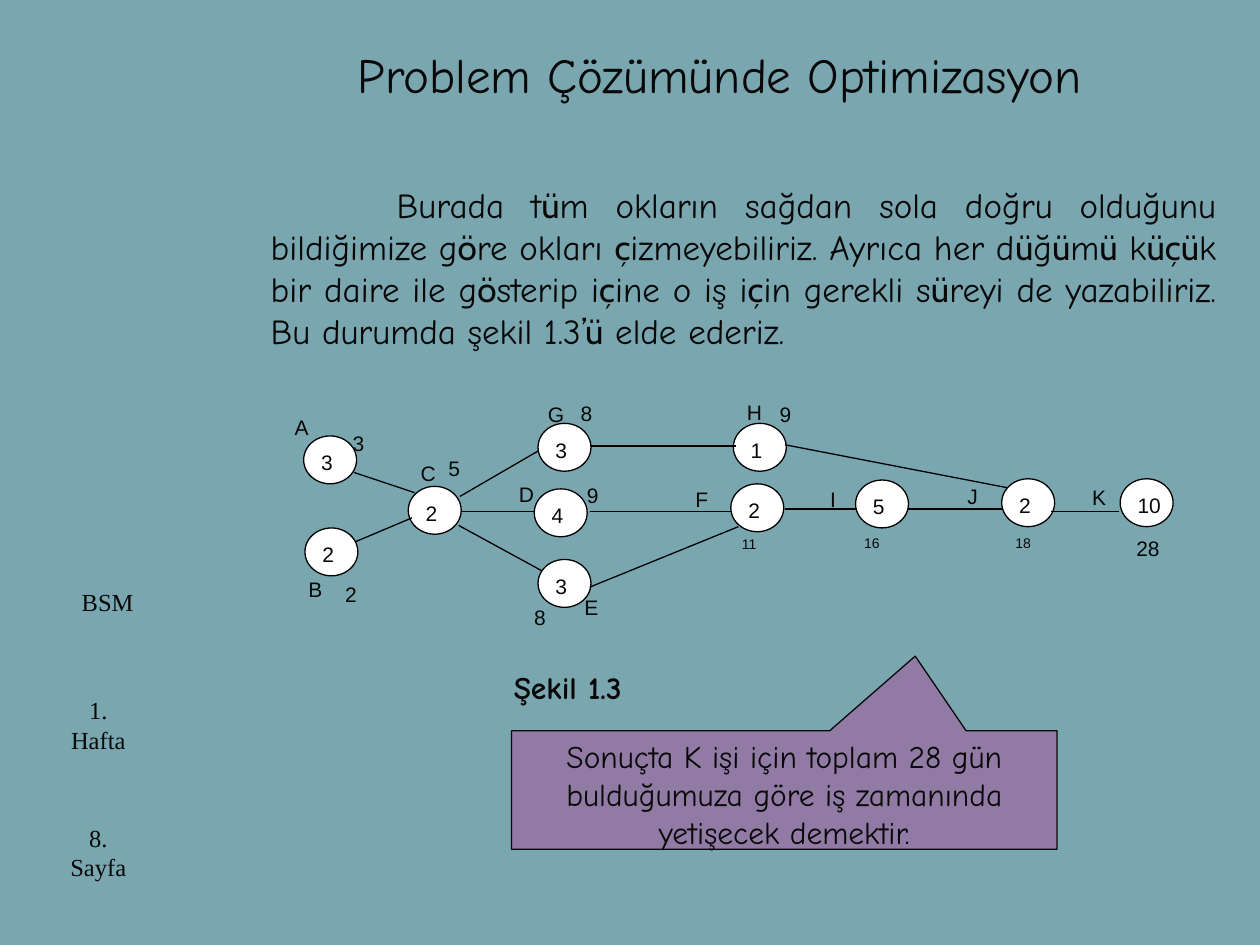
from dataclasses import dataclass
from itertools import groupby
from typing import Any, NamedTuple

from lxml import etree
from pptx import Presentation
from pptx.dml.color import RGBColor
from pptx.enum.shapes import MSO_CONNECTOR, MSO_SHAPE
from pptx.enum.text import MSO_ANCHOR, PP_ALIGN
from pptx.oxml.ns import qn
from pptx.util import Inches, Pt

LEFT, CENTER, JUSTIFY = PP_ALIGN.LEFT, PP_ALIGN.CENTER, PP_ALIGN.JUSTIFY
TOP, MIDDLE = MSO_ANCHOR.TOP, MSO_ANCHOR.MIDDLE
OVAL, CALLOUT = MSO_SHAPE.OVAL, MSO_SHAPE.RECTANGULAR_CALLOUT
STRAIGHT = MSO_CONNECTOR.STRAIGHT


@dataclass(frozen=True)
class Theme:
    back: RGBColor = RGBColor.from_string("7AA6B0")
    ink: RGBColor = RGBColor.from_string("080808")
    edge: RGBColor = RGBColor.from_string("000000")
    node: RGBColor = RGBColor.from_string("FFFFFF")
    note: RGBColor = RGBColor.from_string("917AA4")
    comic: str = "Comic Neue"
    cabin: str = "Cabin"
    arial: str = "Arial"
    times: str = "Times New Roman"
    title: int = 28
    body: int = 20
    large: int = 18
    side: int = 14
    label: int = 12
    small: int = 8
    rule: float = 0.75


THEME = Theme()


class Box(NamedTuple):
    x: float
    y: float
    w: float
    h: float


class Node(NamedTuple):
    x: float
    y: float
    days: str


class Edge(NamedTuple):
    x1: float
    y1: float
    x2: float
    y2: float


class Label(NamedTuple):
    x: float
    y: float
    text: str
    size: int = THEME.label
    w: float = 0.43


class Block(NamedTuple):
    box: Box
    text: str
    font: str
    size: int
    align: PP_ALIGN = LEFT
    anchor: MSO_ANCHOR = TOP
    bold: bool = False


NODES = [
    Node(2.41, 3.46, "3"), Node(3.24, 3.86, "2"), Node(2.42, 4.19, "2"),
    Node(4.27, 3.36, "3"), Node(4.24, 3.88, "4"), Node(4.27, 4.44, "3"),
    Node(5.82, 3.36, "1"), Node(5.8, 3.84, "2"), Node(6.79, 3.81, "5"),
    Node(7.95, 3.8, "2"), Node(8.89, 3.8, "10"),
]

EDGES = [
    Edge(2.81, 3.75, 3.29, 3.91), Edge(2.82, 4.3, 3.27, 4.11),
    Edge(3.65, 3.94, 4.27, 3.58), Edge(3.66, 4.06, 4.24, 4.06),
    Edge(3.64, 4.17, 4.3, 4.53), Edge(4.69, 3.54, 5.84, 3.54),
    Edge(4.68, 4.06, 5.81, 4.06), Edge(6.23, 4.04, 6.79, 4.04),
    Edge(7.21, 4.04, 7.95, 4.04), Edge(8.34, 4.06, 8.88, 4.06),
    Edge(6.23, 3.53, 7.99, 3.87), Edge(4.68, 4.66, 5.86, 4.18),
]

LABELS = [
    Label(2.24, 3.24, "A"), Label(2.35, 4.53, "B"), Label(3.24, 3.61, "C"),
    Label(4.02, 3.77, "D"), Label(5.42, 3.81, "F"), Label(6.49, 3.81, "I"),
    Label(7.58, 3.79, "J"), Label(8.57, 3.8, "K"), Label(4.54, 4.67, "E"),
    Label(4.25, 3.14, "G"), Label(5.83, 3.12, "H"),
    Label(2.7, 3.37, "3"), Label(4.51, 3.13, "8"), Label(6.09, 3.14, "9"),
    Label(3.46, 3.57, "5"), Label(2.64, 4.57, "2"), Label(4.14, 4.75, "8"),
    Label(4.56, 3.78, "9"),
    Label(5.79, 4.2, "11", THEME.small, 0.49),
    Label(6.76, 4.19, "16", THEME.small, 0.49),
    Label(7.96, 4.19, "18", THEME.small, 0.49),
    Label(8.92, 4.2, "28", w=0.53),
]

TITLE = Block(Box(1.74, 0, 7.94, 1.17), "Problem Çözümünde Optimizasyon",
              THEME.comic, THEME.title, CENTER, MIDDLE)
BODY = ("Burada tüm okların sağdan sola doğru olduğunu bildiğimize göre okları "
        "çizmeyebiliriz. Ayrıca her düğümü küçük bir daire ile gösterip içine "
        "o iş için gerekli süreyi de yazabiliriz. Bu durumda şekil 1.3’ü elde "
        "ederiz.")
NOTE = Block(Box(4.06, 5.8, 4.33, 0.94),
             "Sonuçta K işi için toplam 28 gün bulduğumuza göre iş zamanında "
             "yetişecek demektir.", THEME.comic, THEME.large, CENTER)
BLOCKS = [
    Block(Box(3.98, 5.25, 1.8, 0.4), "Şekil 1.3", THEME.comic, THEME.large,
          anchor=MIDDLE, bold=True),
    Block(Box(0.39, 5.47, 0.78, 0.7), "1. Hafta", THEME.times, THEME.side, CENTER),
    Block(Box(0.39, 6.48, 0.78, 0.62), "8.\nSayfa", THEME.times, THEME.side, CENTER),
    Block(Box(0.55, 4.61, 0.62, 0.34), "BSM", THEME.times, THEME.side),
]


def apply(item: Any, style: dict[str, Any]) -> None:
    for name, value in style.items():
        setattr(item, name, value)


def place(box: Box) -> list[int]:
    return [Inches(value) for value in box]


def add_run(para: Any, text: str, font: str, size: int, bold: bool = False) -> None:
    run = para.add_run()
    run.text = text
    apply(run.font, {"name": font, "size": Pt(size), "bold": bold})
    run.font.color.rgb = THEME.ink


def write(shape: Any, block: Block) -> None:
    frame = shape.text_frame
    apply(frame, {"word_wrap": True, "vertical_anchor": block.anchor})
    for index, line in enumerate(block.text.split("\n")):
        para = frame.add_paragraph() if index else frame.paragraphs[0]
        para.alignment = block.align
        add_run(para, line, block.font, block.size, block.bold)


def add_text(shapes: Any, block: Block) -> None:
    write(shapes.add_textbox(*place(block.box)), block)


def add_form(shapes: Any, kind: MSO_SHAPE, box: Box, fill: RGBColor,
             edge: RGBColor) -> Any:
    shape = shapes.add_shape(kind, *place(box))
    shape.shadow.inherit = False
    shape.fill.solid()
    shape.fill.fore_color.rgb = fill
    shape.line.color.rgb = edge
    shape.line.width = Pt(THEME.rule)
    return shape


def add_node(shapes: Any, node: Node) -> None:
    add_form(shapes, OVAL, Box(node.x, node.y, 0.42, 0.38), THEME.node, THEME.edge)
    add_text(shapes, Block(Box(node.x + 0.04, node.y + 0.06, 0.55, 0.3),
                           node.days, THEME.arial, THEME.label))


def add_edge(shapes: Any, edge: Edge) -> None:
    line = shapes.add_connector(STRAIGHT, *[Inches(value) for value in edge])
    line.line.color.rgb = THEME.edge
    line.line.width = Pt(THEME.rule)
    etree.SubElement(line._element.spPr, qn("a:effectLst"))


def add_label(shapes: Any, label: Label) -> None:
    add_text(shapes, Block(Box(label.x, label.y, label.w, 0.34), label.text,
                           THEME.arial, label.size))


def add_body(shapes: Any) -> None:
    frame = shapes.add_textbox(*place(Box(1.67, 1.41, 8.08, 5.75))).text_frame
    frame.word_wrap = True
    para = frame.paragraphs[0]
    apply(para, {"alignment": JUSTIFY, "space_before": Pt(4)})
    props = para._p.get_or_add_pPr()
    for name, value in {"marL": 0.38, "indent": 1}.items():
        props.set(name, str(Inches(value)))
    for accent, part in groupby(BODY, lambda char: char in "üöç’"):
        add_run(para, "".join(part), THEME.cabin if accent else THEME.comic,
                THEME.body)


def main() -> None:
    deck = Presentation()
    apply(deck, {"slide_width": Inches(10), "slide_height": Inches(7.5)})
    slide = deck.slides.add_slide(deck.slide_layouts[6])
    slide.background.fill.solid()
    slide.background.fill.fore_color.rgb = THEME.back
    shapes = slide.shapes
    add_text(shapes, TITLE)
    add_body(shapes)
    graph = shapes.add_group_shape().shapes
    for draw, items in ((add_node, NODES), (add_edge, EDGES), (add_label, LABELS)):
        for item in items:
            draw(graph, item)
    for block in BLOCKS:
        add_text(shapes, block)
    note = add_form(shapes, CALLOUT, NOTE.box, THEME.note, THEME.ink)
    note.adjustments[0], note.adjustments[1] = 0.24, -1.13
    write(note, NOTE)
    deck.save("out.pptx")


if __name__ == "__main__":
    main()
